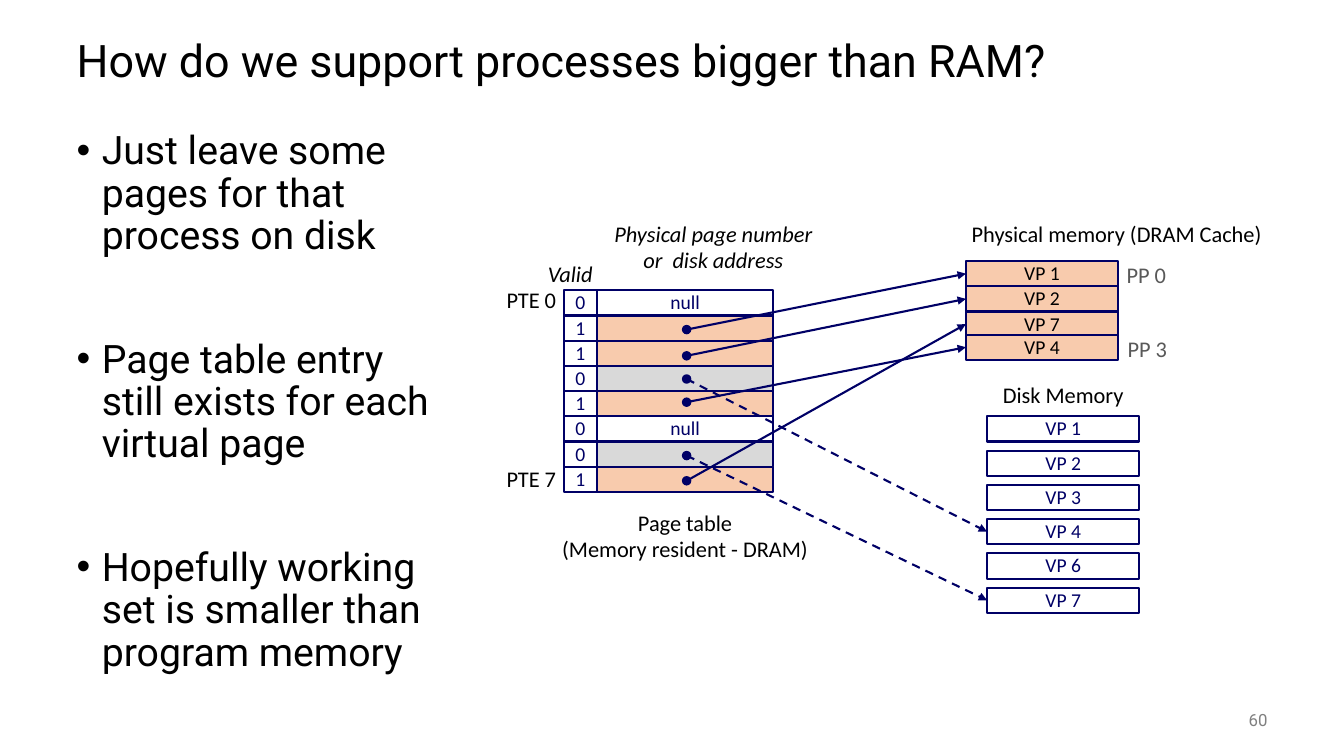
from dataclasses import dataclass

import pptx
import pptx.dml.color
import pptx.enum.dml
import pptx.enum.shapes
import pptx.enum.text
import pptx.oxml
import pptx.oxml.ns
import pptx.util
from pptx.util import Inches

ALIGN = pptx.enum.text.PP_ALIGN
ANCHOR = pptx.enum.text.MSO_ANCHOR
SHAPE = pptx.enum.shapes.MSO_SHAPE


@dataclass(frozen=True)
class Theme:
    black: str = "000000"
    navy: str = "000066"
    peach: str = "F8CBAD"
    gray: str = "D9D9D9"
    white: str = "FFFFFF"
    label_gray: str = "595959"
    number_gray: str = "808080"
    heading_font: str = "Roboto"
    diagram_font: str = "Calibri"
    title_size: int = 32
    body_size: int = 28
    label_size: int = 16
    cell_size: int = 14
    number_size: int = 12


THEME = Theme()


def rgb(value):
    return pptx.dml.color.RGBColor.from_string(value)


def write(shape, *paragraphs, size=THEME.label_size, color=THEME.black, font=THEME.diagram_font,
          align=ALIGN.CENTER, anchor=ANCHOR.MIDDLE, italic=False, wrap=False,
          line_spacing=0.98, gap=0, bullet_indent=None):
    """Fill a shape with paragraphs; gap is the space in points between them."""
    frame = shape.text_frame
    frame.auto_size = pptx.enum.text.MSO_AUTO_SIZE.NONE
    frame.word_wrap = wrap
    frame.vertical_anchor = anchor
    for index, text in enumerate(paragraphs):
        paragraph = frame.add_paragraph() if index else frame.paragraphs[0]
        paragraph.text = text
        paragraph.alignment = align
        paragraph.line_spacing = line_spacing
        paragraph.space_before = pptx.util.Pt(gap if index else 0)
        paragraph.space_after = pptx.util.Pt(0)
        if bullet_indent:
            properties = paragraph._p.get_or_add_pPr()
            properties.set("marL", str(bullet_indent))
            properties.set("indent", str(-bullet_indent))
            bullet = pptx.oxml.parse_xml(f'<a:buChar {pptx.oxml.ns.nsdecls("a")} char="•"/>')
            properties.append(bullet)
        for run in paragraph.runs:
            run.font.size = pptx.util.Pt(size)
            run.font.name = font
            run.font.italic = italic
            run.font.color.rgb = rgb(color)


deck = pptx.Presentation()
deck.slide_width, deck.slide_height = Inches(13.33), Inches(7.5)
slide = deck.slides.add_slide(deck.slide_layouts[1])
shapes = slide.shapes

# Title, bullets and slide number
title, body = slide.placeholders
title.left, title.top, title.width, title.height = map(Inches, (0.66, 0.25, 12, 0.75))
write(title, "How do we support processes bigger than RAM?", size=THEME.title_size,
      font=THEME.heading_font, align=ALIGN.LEFT, wrap=True, line_spacing=0.9)

body.left, body.top, body.width, body.height = map(Inches, (0.66, 1.25, 3.86, 5.5))
write(body, "Just leave some pages for that process on disk",
      "Page table entry still exists for each virtual page",
      "Hopefully working set is smaller than program memory",
      size=THEME.body_size, font=THEME.heading_font, align=ALIGN.LEFT, anchor=ANCHOR.TOP,
      wrap=True, line_spacing=0.9, gap=58, bullet_indent=Inches(0.25))

slide_number = shapes.add_textbox(Inches(11.67), Inches(6.95), Inches(1), Inches(0.4))
write(slide_number, "60", size=THEME.number_size, color=THEME.number_gray,
      font=THEME.heading_font, align=ALIGN.RIGHT, wrap=True)

# Every cell of the diagram: left, top, width, fill, text, text colour
ROW_HEIGHT = 0.25
TABLE_TOP = 2.88
VALID_LEFT, VALID_WIDTH = 5.59, 0.33
ADDRESS_LEFT, ADDRESS_WIDTH = 5.92, 1.75
PAGE_WIDTH = 1.51
DISK_TOP, DISK_PITCH = 4.13, 0.34

entry_fills = {"null": THEME.white, "memory": THEME.peach, "disk": THEME.gray}
page_table = [("0", "null"), ("1", "memory"), ("1", "memory"), ("0", "disk"),
              ("1", "memory"), ("0", "null"), ("0", "disk"), ("1", "memory")]
memory_pages = [("VP 7", 3.09), ("VP 4", 3.32), ("VP 2", 2.84), ("VP 1", 2.59)]
disk_pages = ["VP 1", "VP 2", "VP 3", "VP 4", "VP 6", "VP 7"]

cells = {}
for row, (valid, place) in enumerate(page_table):
    top = TABLE_TOP + row * ROW_HEIGHT
    cells["address", row] = (ADDRESS_LEFT, top, ADDRESS_WIDTH, entry_fills[place],
                             "null" if place == "null" else "", THEME.navy)
    cells["valid", row] = (VALID_LEFT, top, VALID_WIDTH, None, valid, THEME.navy)
for page, top in memory_pages:
    cells["memory", page] = (9.58, top, PAGE_WIDTH, THEME.peach, page, THEME.black)
for row, page in enumerate(disk_pages):
    cells["disk", page] = (9.79, DISK_TOP + row * DISK_PITCH, PAGE_WIDTH,
                           THEME.white, page, THEME.navy)

drawn_cells = {}
for key, (left, top, width, fill, text, color) in cells.items():
    cell = shapes.add_shape(SHAPE.RECTANGLE, Inches(left), Inches(top),
                            Inches(width), Inches(ROW_HEIGHT))
    cell.shadow.inherit = False
    if fill:
        cell.fill.solid()
        cell.fill.fore_color.rgb = rgb(fill)
    else:
        cell.fill.background()
    cell.line.color.rgb = rgb(THEME.navy)
    cell.line.width = pptx.util.Pt(1.5)
    if text:
        write(cell, text, size=THEME.cell_size, color=color)
    drawn_cells[key] = cell

# Pointers from page table entries to pages: height of the dot, place, page
DOT_X, DOT_SIZE = 6.81, 0.08
pointers = [(3.27, "memory", "VP 1"), (3.53, "memory", "VP 2"), (3.76, "disk", "VP 4"),
            (3.99, "memory", "VP 4"), (4.52, "disk", "VP 7"), (4.77, "memory", "VP 7")]
for dot_y, place, page in pointers:
    target = drawn_cells[place, page]
    pointer = shapes.add_connector(pptx.enum.shapes.MSO_CONNECTOR.STRAIGHT, Inches(DOT_X),
                                   Inches(dot_y), target.left, target.top)
    pointer.end_connect(target, 1)
    pointer.line.color.rgb = rgb(THEME.navy)
    pointer.line.width = pptx.util.Pt(1.5)
    if place == "disk":
        pointer.line.dash_style = pptx.enum.dml.MSO_LINE.DASH
    namespace = pptx.oxml.ns.nsdecls("a")
    pointer.line._get_or_add_ln().append(
        pptx.oxml.parse_xml(f'<a:tailEnd {namespace} type="triangle"/>'))
    pointer._element.spPr.append(pptx.oxml.parse_xml(f"<a:effectLst {namespace}/>"))

    dot = shapes.add_shape(SHAPE.OVAL, Inches(DOT_X - DOT_SIZE / 2),
                           Inches(dot_y - DOT_SIZE / 2), Inches(DOT_SIZE), Inches(DOT_SIZE))
    dot.shadow.inherit = False
    dot.fill.solid()
    dot.fill.fore_color.rgb = rgb(THEME.navy)
    dot.line.color.rgb = rgb(THEME.navy)
    dot.line.width = pptx.util.Pt(1)

# Labels: text, left, top, width, height, format
labels = [
    ("Physical page number\nor  disk address", 5.99, 2.14, 2.17, 0.63, {"italic": True}),
    ("Valid", 5.28, 2.54, 0.75, 0.37, {"italic": True}),
    ("PTE 0", 4.92, 2.8, 0.7, 0.37, {}),
    ("PTE 7", 4.92, 4.57, 0.7, 0.37, {}),
    ("Page table\n(Memory resident - DRAM)", 5.43, 5.01, 2.73, 0.63, {}),
    ("Physical memory (DRAM Cache)", 9.48, 2.14, 3.19, 0.37, {}),
    ("PP 0", 11.07, 2.55, 0.6, 0.37, {"color": THEME.label_gray}),
    ("PP 3", 11.08, 3.28, 0.6, 0.37, {"color": THEME.label_gray}),
    ("Disk Memory", 9.84, 3.74, 1.41, 0.37, {}),
]
for text, left, top, width, height, text_format in labels:
    label = shapes.add_textbox(Inches(left), Inches(top), Inches(width), Inches(height))
    write(label, text, **text_format)

deck.save("out.pptx")
